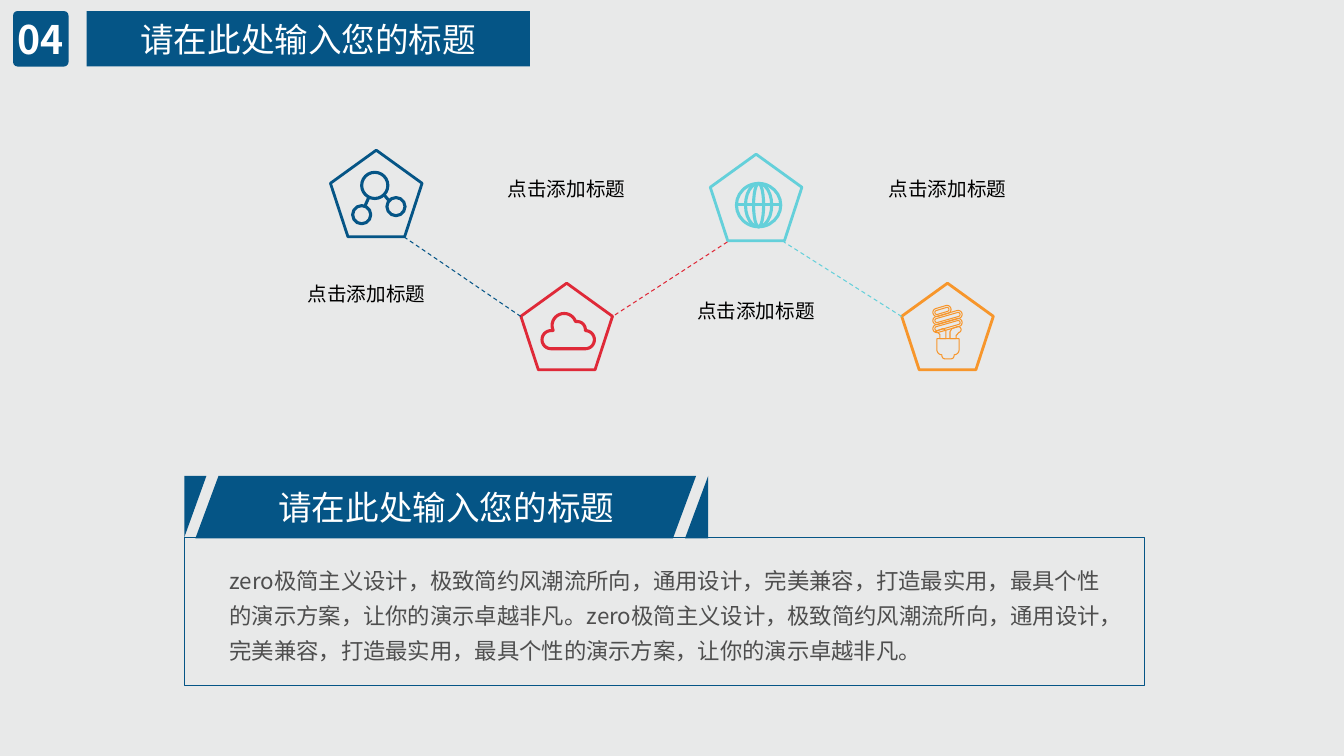
"""Build a slide with four linked pentagon icons above a captioned text panel."""
from math import cos, radians, sin

from lxml.etree import SubElement
from pptx import Presentation
from pptx.dml.color import RGBColor
from pptx.enum.dml import MSO_LINE_DASH_STYLE as Dash
from pptx.enum.shapes import MSO_CONNECTOR as Connector, MSO_SHAPE as Shape
from pptx.enum.text import MSO_ANCHOR as Anchor, PP_ALIGN as Align
from pptx.oxml.ns import qn
from pptx.util import Inches, Pt

COLORS = {
    "background": "E8E9E9", "blue": "055586", "red": "DF2938", "teal": "64D0DA",
    "orange": "F7962B", "white": "FFFFFF", "black": "000000", "gray": "4E4E4E",
}
RGB = {name: RGBColor.from_string(value) for name, value in COLORS.items()}
CJK_FONT = "Noto Sans CJK SC"
ICON_WIDTH = 2.2

presentation = Presentation()
presentation.slide_width = Inches(13.34)
presentation.slide_height = Inches(7.5)
slide = presentation.slides.add_slide(presentation.slide_layouts[5])
slide.background.fill.solid()
slide.background.fill.fore_color.rgb = RGB["background"]
shapes = slide.shapes


def arc(x, y, radius, start, end):
    """Return points along an arc, with angles running clockwise from the right."""
    angles = [radians(start + (end - start) * step / 16) for step in range(17)]
    return [(x + radius * cos(angle), y + radius * sin(angle)) for angle in angles]


def add_outline(contours, color, width=None):
    """Add closed contours, stroked when a width is given and filled otherwise."""
    contours = [[(Inches(x), Inches(y)) for x, y in contour] for contour in contours]
    builder = shapes.build_freeform(*contours[0][0], scale=1)
    for index, contour in enumerate(contours):
        if index:
            builder.move_to(*contour[0])
        builder.add_line_segments(contour[1:], close=True)
    shape = builder.convert_to_shape()
    shape.shadow.inherit = False
    if width:
        shape.fill.background()
        shape.line.color.rgb = RGB[color]
        shape.line.width = Pt(width)
    else:
        shape.fill.solid()
        shape.fill.fore_color.rgb = RGB[color]
        shape.line.fill.background()
    return shape


outlined_shapes = [
    (Shape.REGULAR_PENTAGON, left, top, 0.91, 0.86, color, 2)
    for left, top, color in [
        (3.28, 1.49, "blue"), (5.17, 2.81, "red"),
        (7.05, 1.53, "teal"), (8.95, 2.81, "orange"),
    ]
]
outlined_shapes += [
    (Shape.OVAL, x - radius, y - radius, 2 * radius, 2 * radius, "blue", ICON_WIDTH)
    for x, y, radius in [(3.72, 1.84, 0.13), (3.59, 2.13, 0.09), (3.93, 2.05, 0.09)]
]
outlined_shapes += [
    (Shape.OVAL, 7.53 - radius, 1.82, 2 * radius, 0.43, "teal", ICON_WIDTH)
    for radius in (0.22, 0.13, 0.05)
]
outlined_shapes.append((Shape.RECTANGLE, 1.83, 5.33, 9.53, 1.47, "blue", 1))
for kind, left, top, width, height, color, line_width in outlined_shapes:
    shape = shapes.add_shape(kind, Inches(left), Inches(top), Inches(width), Inches(height))
    shape.shadow.inherit = False
    shape.fill.background()
    shape.line.color.rgb = RGB[color]
    shape.line.width = Pt(line_width)

links = [
    (4.01, 2.35, 5.17, 3.14, "blue", 0.75, Dash.DASH),
    (7.22, 2.4, 6.08, 3.14, "red", 0.75, Dash.DASH),
    (8.95, 3.14, 7.78, 2.4, "teal", 0.75, Dash.DASH),
    (3.66, 1.96, 3.62, 2.05, "blue", ICON_WIDTH, None),
    (3.81, 1.93, 3.86, 1.99, "blue", ICON_WIDTH, None),
    (7.31, 2.03, 7.75, 2.03, "teal", ICON_WIDTH, None),
]
for start_x, start_y, end_x, end_y, color, width, dash in links:
    link = shapes.add_connector(
        Connector.STRAIGHT, Inches(start_x), Inches(start_y), Inches(end_x), Inches(end_y)
    )
    link.line.color.rgb = RGB[color]
    link.line.width = Pt(width)
    if dash:
        link.line.dash_style = dash
    SubElement(link.element.spPr, qn("a:effectLst"))

cloud = (
    arc(5.47, 3.37, 0.09, 90, 270) + arc(5.6, 3.23, 0.12, 156, 339)
    + arc(5.73, 3.27, 0.08, 260, 360) + arc(5.81, 3.37, 0.09, 270, 450)
)
add_outline([cloud], "red", ICON_WIDTH)

coils = [(9.3, 3.1, 9.4, 3.07), (9.3, 3.18, 9.51, 3.12), (9.3, 3.26, 9.51, 3.2)]
bulb = [
    arc(left, left_y, radius, 74, 254) + arc(right, right_y, radius, -106, 74)
    for left, left_y, right, right_y in coils
    for radius in (0.04, 0.02)
]
bulb += [
    [(9.28, 3.29), (9.31, 3.3), (9.33, 3.32), (9.33, 3.36), (9.39, 3.36), (9.39, 3.28),
     (9.36, 3.26)],
    [(9.43, 3.36), (9.43, 3.29), (9.45, 3.26)] + arc(9.51, 3.27, 0.03, -106, 74)
    + [(9.49, 3.33), (9.49, 3.36)],
    [(9.3, 3.36), (9.52, 3.36)] + arc(9.47, 3.47, 0.05, 0, 90)
    + arc(9.44, 3.53, 0.03, 0, 90) + arc(9.38, 3.53, 0.03, 90, 180)
    + arc(9.35, 3.47, 0.05, 90, 180),
]
add_outline(bulb, "orange", 0.75)

banner = add_outline([
    [(1.83, 4.72), (2.05, 4.72), (1.83, 5.33)],
    [(2.17, 4.72), (6.91, 4.72), (6.68, 5.34), (1.94, 5.34)],
    [(7.03, 4.72), (7.03, 5.34), (6.8, 5.34)],
], "blue")

number = shapes.add_shape(
    Shape.ROUNDED_RECTANGLE, Inches(0.13), Inches(0.11), Inches(0.55), Inches(0.55)
)
number.adjustments[0] = 0.08
number.shadow.inherit = False
number.line.fill.background()

title = shapes.title
title.left, title.top = Inches(0.86), Inches(0.11)
title.width, title.height = Inches(4.4), Inches(0.55)
geometry = SubElement(title.element.spPr, qn("a:prstGeom"), prst="roundRect")
guides = SubElement(geometry, qn("a:avLst"))
SubElement(guides, qn("a:gd"), name="adj", fmla="val 9100")
for shape in (number, title):
    shape.fill.solid()
    shape.fill.fore_color.rgb = RGB["blue"]

heading = "请在此处输入您的标题"
statement = (
    "zero极简主义设计，极致简约风潮流所向，通用设计，完美兼容，"
    "打造最实用，最具个性的演示方案，让你的演示卓越非凡。"
)
texts = [
    (number, "04", 28, CJK_FONT, "white", Align.CENTER),
    (title, heading, 24, CJK_FONT, "white", Align.CENTER),
    (banner, heading, 24, CJK_FONT, "white", Align.CENTER),
]
for left, top, width in [(2.67, 2.74, 1.94), (4.56, 1.7, 2.13), (6.44, 2.91, 2.13), (8.34, 1.7, 2.13)]:
    label = shapes.add_textbox(Inches(left), Inches(top), Inches(width), Inches(0.34))
    texts.append((label, "点击添加标题", 14, "Arial", "black", Align.CENTER))
body = shapes.add_textbox(Inches(2.18), Inches(5.5), Inches(8.96), Inches(1.14))
texts.append((body, statement * 2, 16, CJK_FONT, "gray", Align.LEFT))

for shape, text, size, font, color, alignment in texts:
    frame = shape.text_frame
    frame.word_wrap = True
    frame.vertical_anchor = Anchor.MIDDLE
    paragraph = frame.paragraphs[0]
    paragraph.alignment = alignment
    run = paragraph.add_run()
    run.text = text
    run.font.size = Pt(size)
    run.font.name = font
    run.font.bold = shape is number
    run.font.color.rgb = RGB[color]
    SubElement(run.font._element, qn("a:ea"), typeface=CJK_FONT)

number_frame = number.text_frame
number_frame.margin_left = number_frame.margin_right = 0
number_frame.margin_top = number_frame.margin_bottom = 0
body_paragraph = body.text_frame.paragraphs[0]
body_paragraph.line_spacing = 1.3
body_paragraph.space_before = body_paragraph.space_after = Pt(6)

presentation.save("out.pptx")
